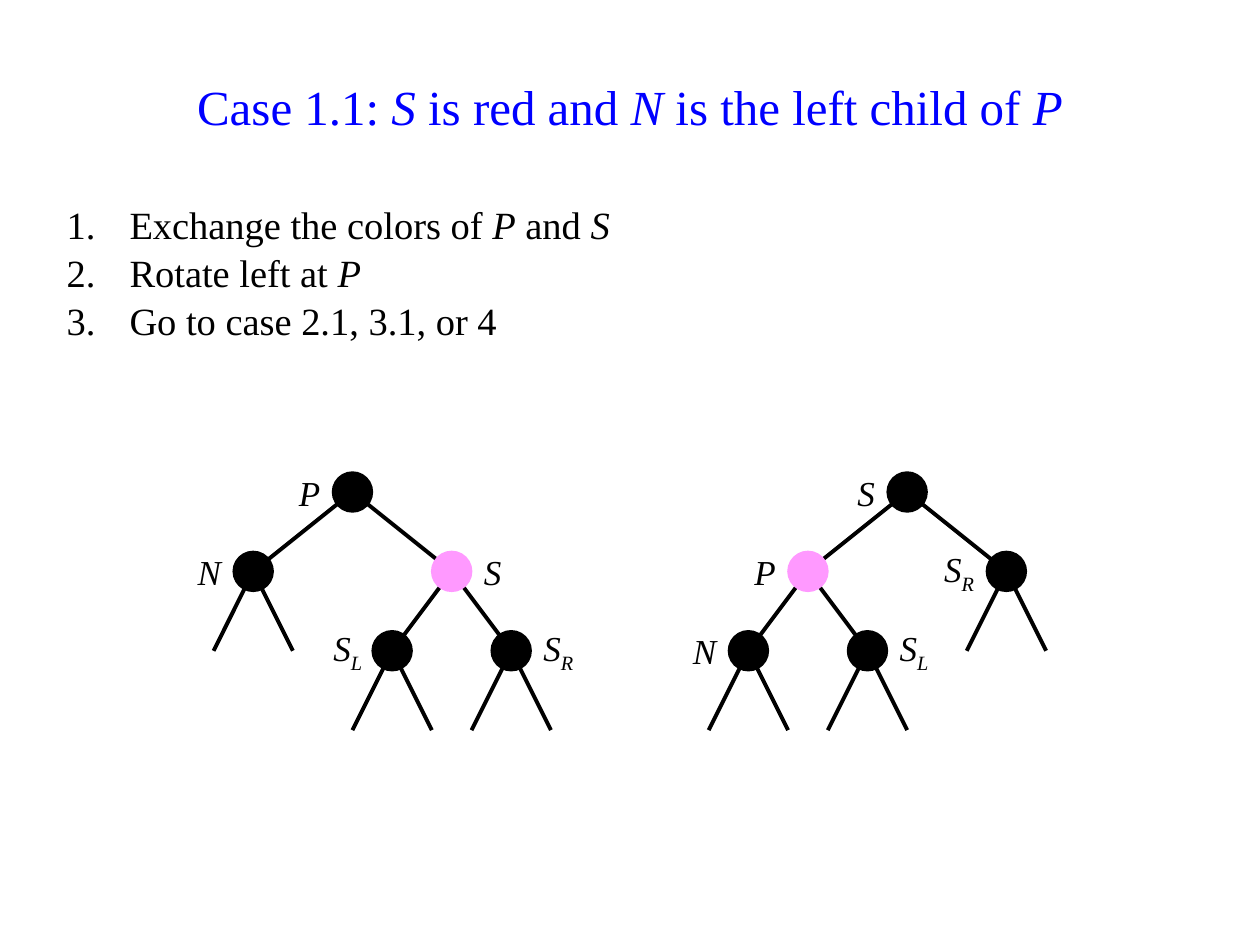
from dataclasses import dataclass

import pptx
import pptx.dml.color
import pptx.enum.shapes
import pptx.enum.text
import pptx.oxml
import pptx.oxml.ns
import pptx.util

ALIGN = pptx.enum.text.PP_ALIGN
ANCHOR = pptx.enum.text.MSO_ANCHOR


@dataclass(frozen=True)
class Theme:
    font: str = "Times New Roman"
    title_color: str = "0000FF"
    black: str = "000000"
    red: str = "FF99FF"
    title_size: float = 28
    body_size: float = 22
    label_size: float = 20
    edge_width: float = 2.25
    outline_width: float = 1


@dataclass(frozen=True)
class Box:
    left: float
    top: float
    width: float
    height: float

    def place(self, shape):
        shape.left, shape.top, shape.width, shape.height = self.lengths()

    def lengths(self):
        return [pptx.util.Inches(value) for value in (self.left, self.top, self.width, self.height)]


@dataclass(frozen=True)
class Node:
    name: str
    column: float
    level: int
    parent: str = ""
    red: bool = False
    label_right: bool = False
    open_children: bool = True


THEME = Theme()
SLIDE_WIDTH, SLIDE_HEIGHT = 10, 7.5
UNIT = SLIDE_WIDTH * 0.0315
LABEL_COLUMNS, LABEL_ROWS = 1.5, 2
LEVEL_ROWS = 2

BEFORE = [
    Node("P", 4.5, 0, open_children=False),
    Node("N", 2, 1, "P"),
    Node("S", 7, 1, "P", red=True, label_right=True, open_children=False),
    Node("S_L", 5.5, 2, "S"),
    Node("S_R", 8.5, 2, "S", label_right=True),
]
AFTER = [
    Node("S", 6, 0, open_children=False),
    Node("P", 3.5, 1, "S", red=True, open_children=False),
    Node("S_R", 8.5, 1, "S"),
    Node("N", 2, 2, "P"),
    Node("S_L", 5, 2, "P", label_right=True),
]


def rgb(color):
    return pptx.dml.color.RGBColor.from_string(color)


def add_run(paragraph, text, size, color, italic):
    run = paragraph.add_run()
    run.text = text
    run.font.name = THEME.font
    run.font.size = pptx.util.Pt(size)
    run.font.color.rgb = rgb(color)
    run.font.italic = italic
    return run


def add_mixed_text(paragraph, text, size, color):
    for index, part in enumerate(text.split("*")):
        if part:
            add_run(paragraph, part, size, color, index % 2 == 1)


def number_paragraph(paragraph):
    properties = paragraph._p.get_or_add_pPr()
    indent = pptx.util.Inches(0.5)
    properties.set("marL", str(indent))
    properties.set("indent", str(-indent))
    bullet = pptx.oxml.parse_xml(
        f'<a:buAutoNum {pptx.oxml.ns.nsdecls("a")} type="arabicPeriod"/>'
    )
    properties.append(bullet)


def write_title(slide, box, text):
    title = slide.shapes.title
    box.place(title)
    frame = title.text_frame
    frame.auto_size = pptx.enum.text.MSO_AUTO_SIZE.NONE
    frame.vertical_anchor = ANCHOR.MIDDLE
    paragraph = frame.paragraphs[0]
    paragraph.alignment = ALIGN.CENTER
    add_mixed_text(paragraph, text, THEME.title_size, THEME.title_color)


def write_steps(slide, box, steps):
    frame = slide.shapes.add_textbox(*box.lengths()).text_frame
    frame.word_wrap = True
    for index, step in enumerate(steps):
        paragraph = frame.add_paragraph() if index else frame.paragraphs[0]
        number_paragraph(paragraph)
        if index:
            paragraph.space_before = pptx.util.Pt(1)
        add_mixed_text(paragraph, step, THEME.body_size, THEME.black)


def draw_edge(slide, start, end):
    points = [pptx.util.Inches(value) for value in (*start, *end)]
    edge = slide.shapes.add_connector(pptx.enum.shapes.MSO_CONNECTOR.STRAIGHT, *points)
    edge.line.color.rgb = rgb(THEME.black)
    edge.line.width = pptx.util.Pt(THEME.edge_width)
    effects = pptx.oxml.parse_xml(f'<a:effectLst {pptx.oxml.ns.nsdecls("a")}/>')
    edge._element.spPr.append(effects)


def draw_node(slide, center, red):
    x, y = center
    box = Box(x - UNIT / 2, y - UNIT / 2, UNIT, UNIT)
    circle = slide.shapes.add_shape(pptx.enum.shapes.MSO_SHAPE.OVAL, *box.lengths())
    color = rgb(THEME.red if red else THEME.black)
    circle.shadow.inherit = False
    circle.fill.solid()
    circle.fill.fore_color.rgb = color
    circle.line.color.rgb = color
    circle.line.width = pptx.util.Pt(THEME.outline_width)


def draw_label(slide, center, name, on_right):
    x, y = center
    width, height = LABEL_COLUMNS * UNIT, LABEL_ROWS * UNIT
    left = x + UNIT / 2 if on_right else x - UNIT / 2 - width
    box = Box(left, y - height / 2, width, height)
    frame = slide.shapes.add_textbox(*box.lengths()).text_frame
    frame.word_wrap = True
    frame.vertical_anchor = ANCHOR.MIDDLE
    letter, _, subscript = name.partition("_")
    if subscript == "L":
        frame.margin_right = pptx.util.Inches(0.08)
    paragraph = frame.paragraphs[0]
    paragraph.alignment = ALIGN.LEFT if on_right else ALIGN.RIGHT
    add_run(paragraph, letter, THEME.label_size, THEME.black, True)
    if subscript:
        run = add_run(paragraph, subscript, THEME.label_size, THEME.black, True)
        run.font._element.set("baseline", "-25000")


def draw_tree(slide, box, nodes):
    def position(column, level):
        return box.left + column * UNIT, box.top + (1 + level * LEVEL_ROWS) * UNIT

    centers = {node.name: position(node.column, node.level) for node in nodes}
    for node in nodes:
        if node.parent:
            draw_edge(slide, centers[node.parent], centers[node.name])
        if node.open_children:
            for side in (-1, 1):
                end = position(node.column + side, node.level + 1)
                draw_edge(slide, centers[node.name], end)
    for node in nodes:
        draw_node(slide, centers[node.name], node.red)
        draw_label(slide, centers[node.name], node.name, node.label_right)


def main():
    presentation = pptx.Presentation()
    presentation.slide_width = pptx.util.Inches(SLIDE_WIDTH)
    presentation.slide_height = pptx.util.Inches(SLIDE_HEIGHT)
    slide = presentation.slides.add_slide(presentation.slide_layouts[5])

    margin = 0.43
    content_width = SLIDE_WIDTH - 2 * margin
    write_title(slide, Box(margin, 0.29, content_width, 1.1),
                "Case 1.1: *S* is red and *N* is the left child of *P*")
    write_steps(slide, Box(margin, 1.55, content_width, 1.26), [
        "Exchange the colors of *P* and *S*",
        "Rotate left at *P*",
        "Go to case 2.1, 3.1, or 4",
    ])
    tree_top, tree_height = 3.59, 7 * UNIT
    draw_tree(slide, Box(1.38, tree_top, 10.5 * UNIT, tree_height), BEFORE)
    draw_tree(slide, Box(5.31, tree_top, 9.5 * UNIT, tree_height), AFTER)
    presentation.save("out.pptx")


if __name__ == "__main__":
    main()
